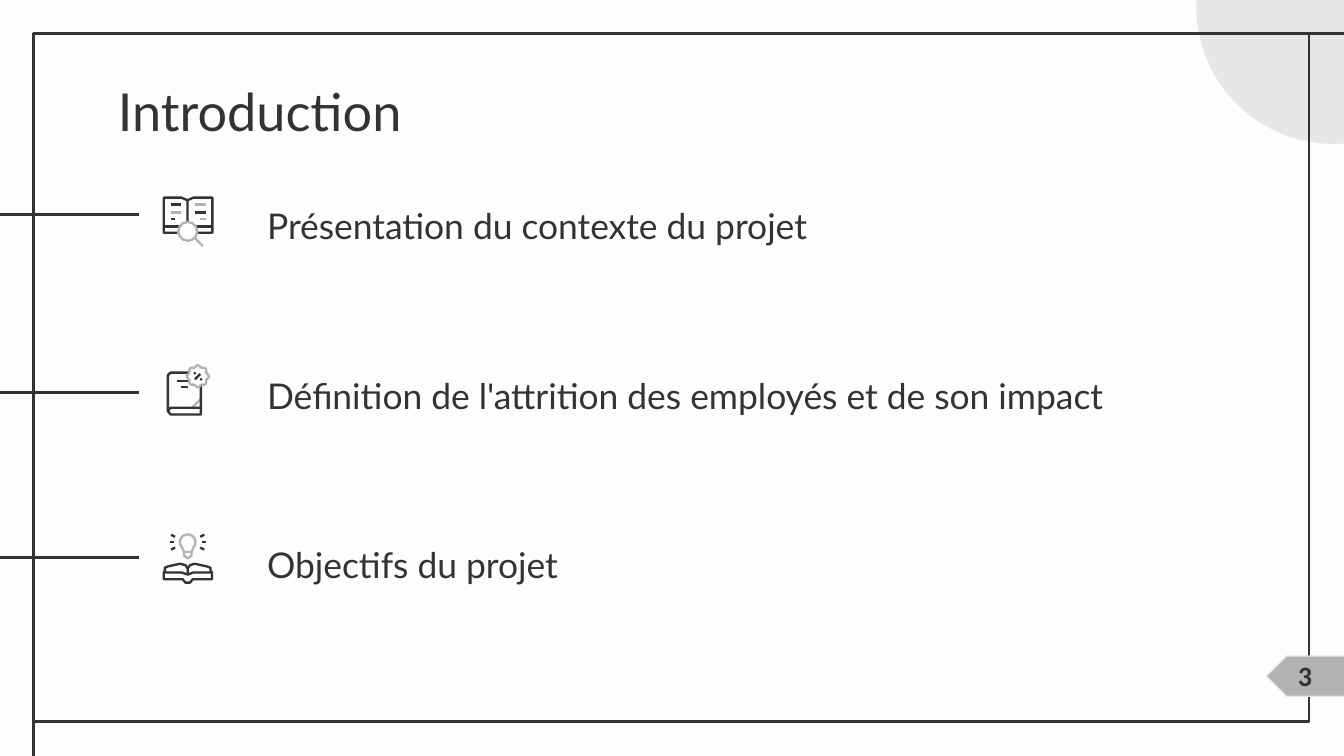
from math import cos, pi, sin

from lxml.etree import SubElement
from pptx import Presentation
from pptx.dml.color import RGBColor
from pptx.enum.shapes import MSO_CONNECTOR, MSO_SHAPE
from pptx.enum.text import MSO_ANCHOR, MSO_AUTO_SIZE, PP_ALIGN
from pptx.oxml.ns import qn
from pptx.util import Cm, Pt

# Content
TITLE = "Introduction"
ITEMS = [
    "Présentation du contexte du projet",
    "Définition de l'attrition des employés et de son impact",
    "Objectifs du projet",
]
PAGE = "3"

# Colours and text formats
PAPER, DARK, GREY, PALE = "FDFDFD", "333333", "B2B2B2", "E8E7E7"
TITLE_FONT = {"name": "Lato", "size": Pt(28), "bold": False}
ITEM_FONT = {"name": "Lato", "size": Pt(19), "bold": False}
PAGE_FONT = {"name": "Calibri", "size": Pt(15), "bold": True}

# Layout in cm
FRAME = (0.64, 0.64, 24.1, 13)
SIDE_RULES = [4.06, 7.42, 10.54]
ITEM_LEFT, ITEM_TOP, ITEM_STEP = 4.8, 3.45, 3.2
ICON_LEFT, ICON_TOP, ICON_STEP = 3.07, 3.71, 3.18
UNIT = 0.97 / 38  # icons are drawn on a grid of 38 units


def ring(cx, cy, r, start=0, sweep=360, lobes=0):
    """Points round a centre, with an optional scalloped edge."""
    angles = [(start + sweep * i / 48) * pi / 180 for i in range(49)]
    radii = [r + (0.7 * cos(lobes * a) if lobes else 0) for a in angles]
    return [(cx + q * cos(a), cy + q * sin(a)) for q, a in zip(radii, angles)]


def mirror(points):
    return [(37.4 - x, y) for x, y in points]


RAYS = [[(28, 3), (31, 1.5)], [(29, 7), (32, 7)], [(28, 11), (31, 12.5)]]
BULB = ring(18.7, 7, 5.7, 140, 260) + [
    (21.5, 14.5), (21.5, 17), (18.7, 19), (16, 17), (16, 14.5)]

# Each icon: strokes (colour, points) and circles (colour, cx, cy, r, filled)
ICONS = [
    {   # open book with magnifier
        "strokes": [
            (DARK, [(11, 27), (1, 27), (1, 1), (14, 1), (18.5, 3), (18.5, 19)]),
            (DARK, [(18.5, 3), (23, 1), (37, 1), (37, 27), (26, 27)]),
            (DARK, [(1, 22.5), (12, 22.5)]),
            (DARK, [(25, 22.5), (37, 22.5)]),
            (DARK, [(6, 6), (14, 6)]),
            (GREY, [(6, 12), (14, 12)]),
            (DARK, [(6, 17), (9, 17)]),
            (GREY, [(24, 6), (32, 6)]),
            (DARK, [(24, 12), (32, 12)]),
            (GREY, [(28, 17), (32, 17)]),
            (GREY, [(24, 31), (30, 37)]),
        ],
        "circles": [(GREY, 18.7, 26, 7, False)],
    },
    {   # closed book with percent badge
        "strokes": [
            (GREY, [(21.5, 32.5), (28.5, 25.5)]),
            (DARK, [(20, 6), (6, 6), (4, 8), (4, 34.5), (6, 37), (28.5, 37),
                    (28.5, 15)]),
            (DARK, [(4, 34.5), (6, 32), (28.5, 32)]),
            (DARK, [(11, 12), (20, 12)]),
            (DARK, [(14, 16.5), (19, 16.5)]),
            (GREY, ring(26.2, 8.7, 7.5, lobes=8)),
            (DARK, [(24, 11), (28, 7)]),
        ],
        "circles": [(DARK, 24, 6.5, 0.9, True), (DARK, 28.7, 11, 0.9, True)],
    },
    {   # open book with light bulb
        "strokes": [
            (GREY, BULB + BULB[:1]),
            (GREY, [(16, 14.5), (21.5, 14.5)]),
            *[(DARK, ray) for ray in RAYS],
            *[(DARK, mirror(ray)) for ray in RAYS],
            (DARK, [(2, 29), (1, 29), (1, 34.5), (15, 34.5), (17, 37),
                    (20.4, 37), (22.4, 34.5), (36.7, 34.5), (36.7, 29),
                    (35.5, 29)]),
            (DARK, [(18.7, 31), (14, 29.5), (1.8, 29.5), (1.8, 26), (4, 25),
                    (13, 23), (17, 24), (18.7, 26.5), (18.7, 31)]),
            (DARK, [(18.7, 26.5), (20.4, 24), (24, 23), (33, 25), (35.6, 26),
                    (35.6, 29.5), (23, 29.5), (18.7, 31)]),
        ],
        "circles": [],
    },
]


def rgb(value):
    return RGBColor.from_string(value)


def style(sp, fill=None, line=None, width=1.5):
    sp.shadow.inherit = False
    if fill:
        sp.fill.solid()
        sp.fill.fore_color.rgb = rgb(fill)
    else:
        sp.fill.background()
    if line:
        sp.line.color.rgb = rgb(line)
        sp.line.width = Pt(width)
    else:
        sp.line.fill.background()


def add_box(s, kind, box, **look):
    sp = s.shapes.add_shape(kind, *map(Cm, box))
    style(sp, **look)
    return sp


def add_rule(s, start, end, color=DARK, width=1.5):
    cn = s.shapes.add_connector(
        MSO_CONNECTOR.STRAIGHT, *map(Cm, (*start, *end)))
    cn.line.color.rgb = rgb(color)
    cn.line.width = Pt(width)
    SubElement(cn._element.spPr, qn("a:effectLst"))


def put_text(sp, text, font, anchor=MSO_ANCHOR.TOP, spacing=1.0):
    tf = sp.text_frame
    frame = {"word_wrap": True, "auto_size": MSO_AUTO_SIZE.NONE,
             "vertical_anchor": anchor}
    frame |= {f"margin_{side}": Cm(0.25)
              for side in ("left", "right", "top", "bottom")}
    for key, value in frame.items():
        setattr(tf, key, value)
    p = tf.paragraphs[0]
    p.alignment, p.line_spacing = PP_ALIGN.LEFT, spacing
    r = p.add_run()
    r.text = text
    for key, value in font.items():
        setattr(r.font, key, value)
    r.font.color.rgb = rgb(DARK)


def add_icon(s, icon, left, top):
    for color, points in icon["strokes"]:
        spots = [(left + x * UNIT, top + y * UNIT) for x, y in points]
        if len(spots) == 2:
            add_rule(s, *spots, color, 1.25)
            continue
        spots = [(Cm(x), Cm(y)) for x, y in spots]
        fb = s.shapes.build_freeform(*spots[0])
        fb.add_line_segments(spots[1:], close=spots[0] == spots[-1])
        style(fb.convert_to_shape(), line=color, width=1.25)
    for color, cx, cy, r, filled in icon["circles"]:
        box = (left + (cx - r) * UNIT, top + (cy - r) * UNIT,
               2 * r * UNIT, 2 * r * UNIT)
        look = {"fill": color} if filled else {"line": color, "width": 1.25}
        add_box(s, MSO_SHAPE.OVAL, box, **look)


def main():
    prs = Presentation()
    prs.slide_width, prs.slide_height = Cm(25.4), Cm(14.29)
    s = prs.slides.add_slide(prs.slide_layouts[5])
    s.background.fill.solid()
    s.background.fill.fore_color.rgb = rgb(PAPER)

    # Corner disc, side rules and frame
    add_box(s, MSO_SHAPE.OVAL, (22.61, -2.46, 5.18, 5.18), fill=PALE)
    for y in SIDE_RULES:
        add_rule(s, (0, y), (2.62, y))
    left, top, width, height = FRAME
    add_box(s, MSO_SHAPE.RECTANGLE, FRAME, line=DARK)
    add_rule(s, (left + width, top), (25.4, top))
    add_rule(s, (left, top + height), (left, 14.29))

    # Title
    title = s.shapes.title
    title.left, title.top, title.width, title.height = map(
        Cm, (1.98, 1.24, 21.41, 1.6))
    put_text(title, TITLE, TITLE_FONT)

    # Items with their icons
    for i, (item, icon) in enumerate(zip(ITEMS, ICONS)):
        box = (ITEM_LEFT, ITEM_TOP + i * ITEM_STEP, 18.36, 1.47)
        put_text(s.shapes.add_textbox(*map(Cm, box)), item, ITEM_FONT,
                 MSO_ANCHOR.BOTTOM, 1.15)
        add_icon(s, icon, ICON_LEFT, ICON_TOP + i * ICON_STEP)

    # Page number tag
    tag = add_box(s, MSO_SHAPE.PENTAGON, (23.93, 12.4, 1.63, 0.76),
                  fill=GREY, line=PALE, width=0.75)
    tag.rotation = 180
    number = s.shapes.add_textbox(*map(Cm, (24.28, 12.19, 1.19, 1.07)))
    put_text(number, PAGE, PAGE_FONT)

    prs.save("out.pptx")


if __name__ == "__main__":
    main()
